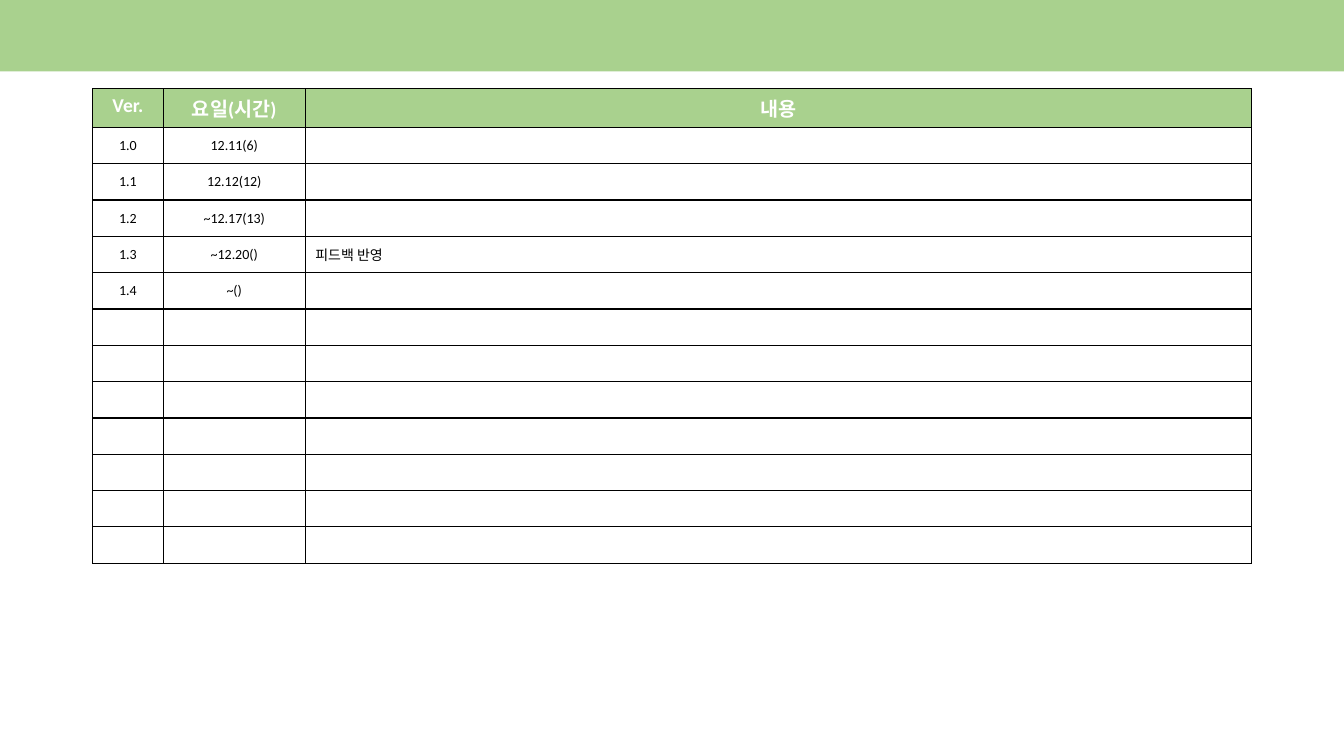
from dataclasses import dataclass

from lxml import etree
from pptx import Presentation
from pptx import util as u
from pptx.dml.color import RGBColor
from pptx.enum import shapes, text
from pptx.oxml import ns


@dataclass(frozen=True)
class Theme:
    font: str = "Calibri"
    green: str = "A9D18E"
    white: str = "FFFFFF"
    black: str = "000000"
    header_size: int = 14
    body_size: int = 10
    border_width: int = 1


@dataclass(frozen=True)
class CellStyle:
    fill: str
    color: str
    size: int
    bold: bool
    anchor: text.MSO_ANCHOR


@dataclass(frozen=True)
class Version:
    number: str = ""
    day: str = ""
    content: str = ""


THEME = Theme()
HEADER = CellStyle(THEME.green, THEME.white, THEME.header_size, True, text.MSO_ANCHOR.TOP)
BODY = CellStyle(THEME.white, THEME.black, THEME.body_size, False, text.MSO_ANCHOR.MIDDLE)

HEADINGS = Version("Ver.", "요일(시간)", "내용")
VERSIONS = [
    Version("1.0", "12.11(6)"),
    Version("1.1", "12.12(12)"),
    Version("1.2", "~12.17(13)"),
    Version("1.3", "~12.20()", "피드백 반영"),
    Version("1.4", "~()"),
]
BODY_ROWS = 12

SLIDE_WIDTH, SLIDE_HEIGHT = 960, 540
BAND_HEIGHT = 51
TABLE_LEFT, TABLE_TOP = 66.2, 63.4
COLUMN_WIDTHS = (50.4, 101.5, 676.1)
HEADER_HEIGHT, ROW_HEIGHT = 27.5, 25.95


def add_band(slide) -> None:
    band = slide.shapes.add_shape(
        shapes.MSO_SHAPE.RECTANGLE, 0, 0, u.Pt(SLIDE_WIDTH), u.Pt(BAND_HEIGHT))
    band.shadow.inherit = False
    band.fill.solid()
    band.fill.fore_color.rgb = RGBColor.from_string(THEME.green)
    band.line.fill.background()


def add_borders(cell) -> None:
    properties = cell._tc.get_or_add_tcPr()
    for side in ("a:lnL", "a:lnR", "a:lnT", "a:lnB"):
        line = etree.SubElement(properties, ns.qn(side), w=str(u.Pt(THEME.border_width)))
        fill = etree.SubElement(line, ns.qn("a:solidFill"))
        etree.SubElement(fill, ns.qn("a:srgbClr"), val=THEME.black)


def fill_cell(cell, words: str, style: CellStyle, alignment: text.PP_ALIGN) -> None:
    add_borders(cell)
    cell.fill.solid()
    cell.fill.fore_color.rgb = RGBColor.from_string(style.fill)
    cell.vertical_anchor = style.anchor
    paragraph = cell.text_frame.paragraphs[0]
    paragraph.alignment = alignment
    if words:
        paragraph.add_run().text = words
        paragraph.font.name = THEME.font
        paragraph.font.size = u.Pt(style.size)
        paragraph.font.bold = style.bold
        paragraph.font.color.rgb = RGBColor.from_string(style.color)
    else:
        # The end mark keeps an empty row from growing
        etree.SubElement(paragraph._p, ns.qn("a:endParaRPr"), sz=str(style.size * 100))


def add_version_table(slide) -> None:
    frame = slide.shapes.add_table(
        BODY_ROWS + 1, len(COLUMN_WIDTHS), u.Pt(TABLE_LEFT), u.Pt(TABLE_TOP),
        u.Pt(sum(COLUMN_WIDTHS)), u.Pt(HEADER_HEIGHT + BODY_ROWS * ROW_HEIGHT))
    table = frame.table
    table.horz_banding = False
    for column, width in zip(table.columns, COLUMN_WIDTHS):
        column.width = u.Pt(width)

    empty_rows = [Version()] * (BODY_ROWS - len(VERSIONS))
    for index, version in enumerate([HEADINGS, *VERSIONS, *empty_rows]):
        is_header = index == 0
        row = table.rows[index]
        row.height = u.Pt(HEADER_HEIGHT if is_header else ROW_HEIGHT)
        style = HEADER if is_header else BODY
        content_alignment = text.PP_ALIGN.CENTER if is_header else text.PP_ALIGN.LEFT
        number, day, content = row.cells
        fill_cell(number, version.number, style, text.PP_ALIGN.CENTER)
        fill_cell(day, version.day, style, text.PP_ALIGN.CENTER)
        fill_cell(content, version.content, style, content_alignment)


def main() -> None:
    presentation = Presentation()
    presentation.slide_width = u.Pt(SLIDE_WIDTH)
    presentation.slide_height = u.Pt(SLIDE_HEIGHT)
    # The slide has no title, so it takes the blank layout
    slide = presentation.slides.add_slide(presentation.slide_layouts[6])
    add_band(slide)
    add_version_table(slide)
    presentation.save("out.pptx")


if __name__ == "__main__":
    main()
